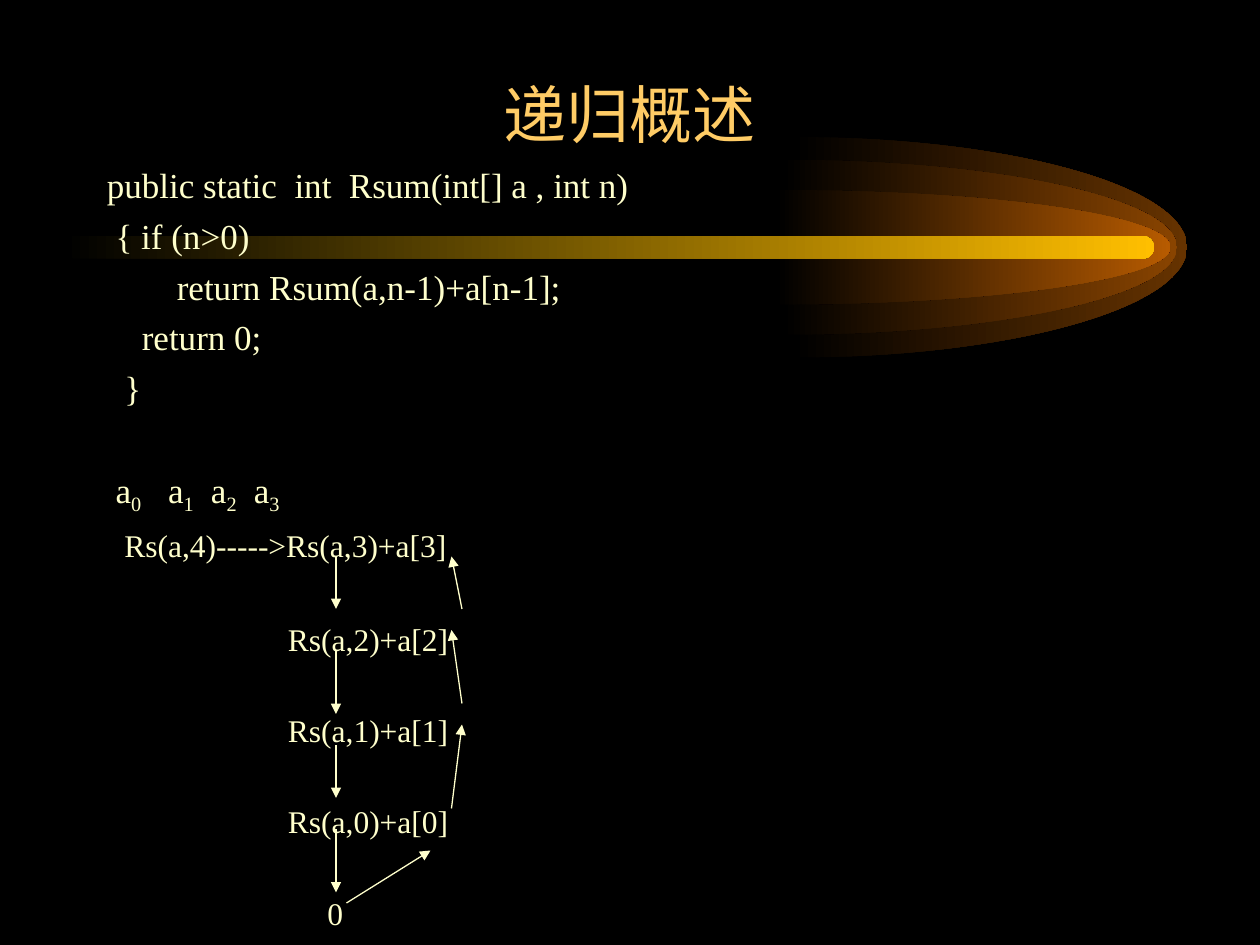
"""Builds a slide that traces a recursive array sum."""
from dataclasses import dataclass

import lxml.etree
import pptx
import pptx.dml.color
import pptx.enum.shapes
import pptx.enum.text
import pptx.oxml.ns
import pptx.shapes.autoshape
import pptx.slide
import pptx.text.text
import pptx.util

Pt = pptx.util.Pt
RGBColor = pptx.dml.color.RGBColor
qn = pptx.oxml.ns.qn

BLACK = RGBColor(0x00, 0x00, 0x00)
BROWN = RGBColor(0x66, 0x33, 0x00)
RUST = RGBColor(0x89, 0x44, 0x00)
ORANGE = RGBColor(0xB7, 0x5B, 0x00)
GOLD = RGBColor(0xFF, 0xBF, 0x00)
TITLE_COLOR = RGBColor(0xFF, 0xCC, 0x66)
TEXT_COLOR = RGBColor(0xFF, 0xFF, 0xCC)
FONT = "Times New Roman"
COMET_MIDDLE = 141.3
COMET_RADIUS = 225.4
CURVE = 0.55


@dataclass(frozen=True)
class Glow:
    left: float
    height: float
    color: RGBColor


@dataclass(frozen=True)
class Arrow:
    start_x: float
    start_y: float
    end_x: float
    end_y: float


@dataclass(frozen=True)
class Line:
    text: str
    size: float
    before: float
    indent: float = 0


GLOWS = [Glow(452.9, 126, BROWN), Glow(447.1, 100, RUST), Glow(443.5, 65.5, ORANGE)]

CODE = [
    Line("public static  int  Rsum(int[] a , int n)", 20, 0),
    Line(" { if (n>0)", 20, 5),
    Line("        return Rsum(a,n-1)+a[n-1];", 20, 5),
    Line("    return 0;", 20, 5),
    Line("  }", 20, 5),
]
ARRAY_TABS = [5, 35, 59.5, 84]
TRACE = [
    Line("Rs(a,4)----->Rs(a,3)+a[3]", 18, 5.7, 10),
    Line("Rs(a,2)+a[2]", 18, 32, 103.5),
    Line("Rs(a,1)+a[1]", 18, 30.6, 103.5),
    Line("Rs(a,0)+a[0]", 18, 30.6, 103.5),
    Line("0", 18, 30.6, 126),
]

CALLS = [Arrow(192, top, 192, bottom)
         for top, bottom in [(318, 348), (372, 408), (426, 456), (474, 510)]]
RETURNS = [
    Arrow(198, 516, 246, 486),
    Arrow(258, 462, 264, 414),
    Arrow(264, 402, 258, 360),
    Arrow(264, 348, 258, 318),
]


def fade(shape: pptx.shapes.autoshape.Shape, color: RGBColor) -> None:
    """Fill a shape with a left-to-right fade from black."""
    shape.shadow.inherit = False
    shape.line.fill.background()
    shape.fill.gradient()
    shape.fill.gradient_angle = 0
    first, last = shape.fill.gradient_stops
    first.color.rgb, first.position = BLACK, 0
    last.color.rgb, last.position = color, 1


def add_glow(page: pptx.slide.Slide, glow: Glow) -> None:
    """Draw the right half of an ellipse with two curves."""
    top, bottom = COMET_MIDDLE - glow.height / 2, COMET_MIDDLE + glow.height / 2
    builder = page.shapes.build_freeform(Pt(glow.left), Pt(top))
    builder.add_line_segments([(Pt(glow.left + COMET_RADIUS), Pt(COMET_MIDDLE)),
                               (Pt(glow.left), Pt(bottom))], close=True)
    shape = builder.convert_to_shape()
    half = glow.height / 2
    bend_x, bend_y = COMET_RADIUS * CURVE, half * CURVE
    curves = [
        [(bend_x, 0), (COMET_RADIUS, half - bend_y), (COMET_RADIUS, half)],
        [(COMET_RADIUS, half + bend_y), (bend_x, glow.height), (0, glow.height)],
    ]
    for segment, points in zip(list(shape._element.iter(qn("a:lnTo"))), curves):
        curve = lxml.etree.Element(qn("a:cubicBezTo"))
        for x, y in points:
            lxml.etree.SubElement(curve, qn("a:pt"), x=str(Pt(x)), y=str(Pt(y)))
        segment.getparent().replace(segment, curve)
    fade(shape, glow.color)


def add_bar(page: pptx.slide.Slide) -> None:
    """Draw the rounded bar through the comet."""
    bar = page.shapes.add_shape(pptx.enum.shapes.MSO_SHAPE.ROUNDED_RECTANGLE,
                                Pt(36), Pt(COMET_MIDDLE - 6.5), Pt(623.5), Pt(13))
    bar.adjustments[0] = 0.5
    fade(bar, GOLD)


def add_arrow(page: pptx.slide.Slide, arrow: Arrow) -> None:
    """Draw a thin arrow with its head at the end point."""
    connector = page.shapes.add_connector(
        pptx.enum.shapes.MSO_CONNECTOR.STRAIGHT,
        Pt(arrow.start_x), Pt(arrow.start_y), Pt(arrow.end_x), Pt(arrow.end_y))
    connector.line.color.rgb = TEXT_COLOR
    connector.line.width = Pt(0.75)
    outline = connector.line._get_or_add_ln()
    lxml.etree.SubElement(outline, qn("a:tailEnd"), type="triangle")
    lxml.etree.SubElement(connector._element.spPr, qn("a:effectLst"))


def add_text_frame(page: pptx.slide.Slide, top: float, height: float) -> pptx.text.text.TextFrame:
    """Add a wrapping text box across the content width."""
    box = page.shapes.add_textbox(Pt(54), Pt(top), Pt(612), Pt(height))
    box.text_frame.word_wrap = True
    return box.text_frame


def add_span(para: pptx.text.text._Paragraph, text: str, size: float,
             color: RGBColor = TEXT_COLOR, subscript: bool = False) -> None:
    """Add one styled run."""
    span = para.add_run()
    span.text = text
    span.font.name = FONT
    span.font.size = Pt(size)
    span.font.color.rgb = color
    if subscript:
        span._r.get_or_add_rPr().set("baseline", "-25000")


def add_line(para: pptx.text.text._Paragraph, line: Line) -> None:
    """Fill a paragraph with one line of code or trace."""
    para._p.get_or_add_pPr().set("marL", str(Pt(line.indent)))
    if line.before:
        para.space_before = Pt(line.before)
    add_span(para, line.text, line.size)


def add_array(para: pptx.text.text._Paragraph) -> None:
    """Write the array items with subscript indexes at tab stops."""
    stops = lxml.etree.SubElement(para._p.get_or_add_pPr(), qn("a:tabLst"))
    for position in ARRAY_TABS:
        lxml.etree.SubElement(stops, qn("a:tab"), pos=str(Pt(position)), algn="l")
    para.space_before = Pt(34)
    for index in range(len(ARRAY_TABS)):
        add_span(para, "\ta", 20)
        add_span(para, str(index), 20, subscript=True)


def main() -> None:
    """Build and save the deck."""
    deck = pptx.Presentation()
    deck.slide_width, deck.slide_height = Pt(720), Pt(540)
    page = deck.slides.add_slide(deck.slide_layouts[6])
    page.background.fill.solid()
    page.background.fill.fore_color.rgb = BLACK

    for glow in GLOWS:
        add_glow(page, glow)
    add_bar(page)

    title = add_text_frame(page, 36, 54)
    title.vertical_anchor = pptx.enum.text.MSO_ANCHOR.BOTTOM
    title.paragraphs[0].alignment = pptx.enum.text.PP_ALIGN.CENTER
    add_span(title.paragraphs[0], "递归概述", 36, TITLE_COLOR)

    body = add_text_frame(page, 90, 450)
    add_line(body.paragraphs[0], CODE[0])
    for line in CODE[1:]:
        add_line(body.add_paragraph(), line)
    add_array(body.add_paragraph())
    for line in TRACE:
        add_line(body.add_paragraph(), line)

    for arrow in CALLS + RETURNS:
        add_arrow(page, arrow)
    deck.save("out.pptx")


if __name__ == "__main__":
    main()
